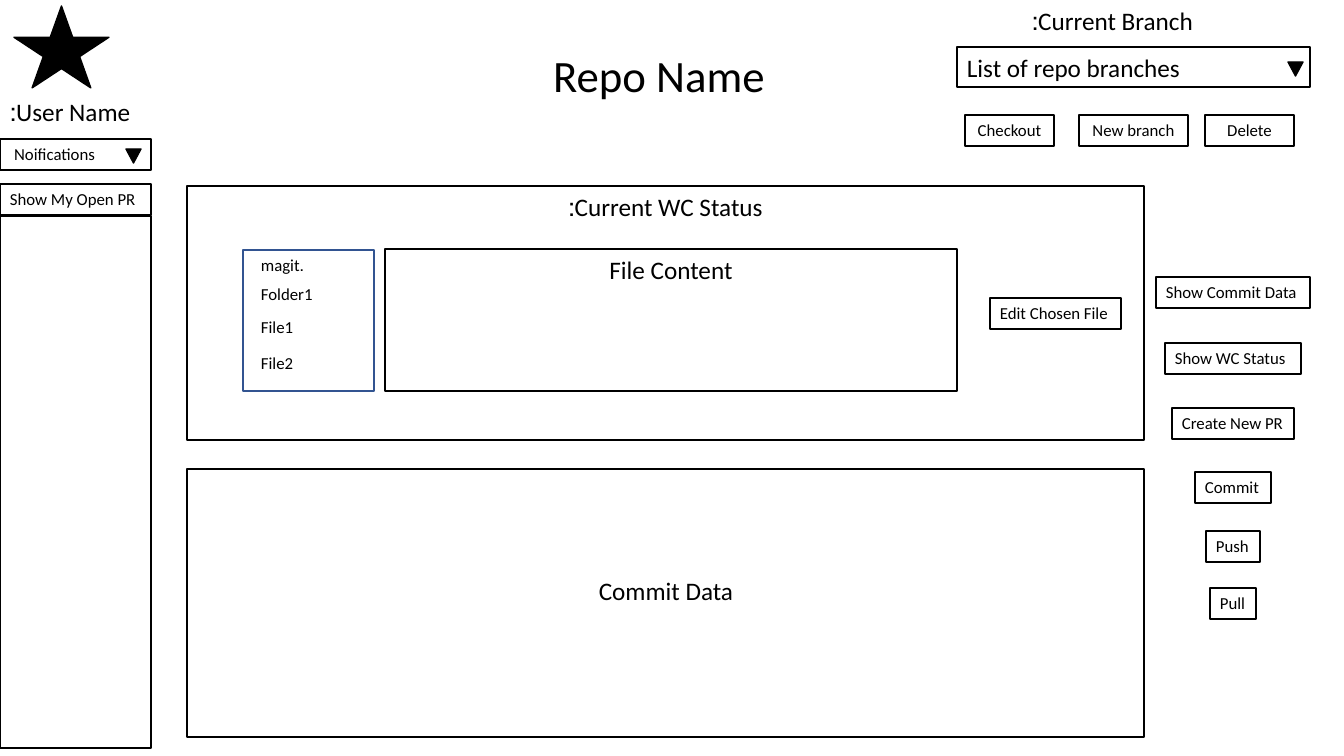
from dataclasses import dataclass

from pptx import Presentation
from pptx.dml.color import RGBColor
from pptx.enum.shapes import MSO_SHAPE
from pptx.enum.text import MSO_ANCHOR, PP_ALIGN
from pptx.util import Emu, Pt

SCALE = 914400 / 100.8
FONT = "Calibri"
COLORS = {"ink": "000000", "paper": "FFFFFF", "tree": "325491"}
BUTTON_HEIGHT = 31
SIDE_CENTER = 1233


@dataclass
class Area:
    left: int
    top: int
    width: int
    height: int = BUTTON_HEIGHT


@dataclass
class Panel:
    area: Area
    text: str = ""
    size: int = 12
    centered: bool = False
    fill: str | None = "paper"
    line: str | None = "ink"
    kind: MSO_SHAPE = MSO_SHAPE.RECTANGLE
    rotation: int = 0


def emu(pixels: int) -> Emu:
    return Emu(round(pixels * SCALE))


def color(name: str) -> RGBColor:
    return RGBColor.from_string(COLORS[name])


def write(box, text: str, size: int, centered: bool) -> None:
    frame = box.text_frame
    frame.word_wrap = True
    frame.vertical_anchor = MSO_ANCHOR.TOP
    if not centered:
        frame.margin_right = 0
    para = frame.paragraphs[0]
    para.alignment = PP_ALIGN.CENTER if centered else PP_ALIGN.LEFT
    para._p.get_or_add_pPr().set("rtl", "1")
    span = para.add_run()
    span.text = text
    span.font.name = FONT
    span.font.size = Pt(size)
    span.font.color.rgb = color("ink")


def place(box, area: Area) -> None:
    box.left, box.top = emu(area.left), emu(area.top)
    box.width, box.height = emu(area.width), emu(area.height)


def draw_panel(page, panel: Panel) -> None:
    box = page.shapes.add_shape(panel.kind, 0, 0, 0, 0)
    place(box, panel.area)
    box.rotation = panel.rotation
    box.shadow.inherit = False
    if panel.fill:
        box.fill.solid()
        box.fill.fore_color.rgb = color(panel.fill)
    else:
        box.fill.background()
    box.line.color.rgb = color(panel.line)
    box.line.width = Pt(1)
    if panel.text:
        write(box, panel.text, panel.size, panel.centered)


def draw_label(page, area: Area, text: str, centered: bool = False) -> None:
    box = page.shapes.add_textbox(0, 0, 0, 0)
    place(box, area)
    write(box, text, 18, centered)


def drop_arrow(left: int, top: int) -> Panel:
    return Panel(Area(left, top, 15, 14), fill="ink",
                 kind=MSO_SHAPE.ISOSCELES_TRIANGLE, rotation=180)


deck = Presentation()
deck.slide_width, deck.slide_height = emu(1344), emu(756)
page = deck.slides.add_slide(deck.slide_layouts[5])

title = page.shapes.title
place(title, Area(474, 43, 370, 65))
write(title, "Repo Name", 32, True)

user_area = [
    Panel(Area(14, 6, 95, 82), fill="ink", kind=MSO_SHAPE.STAR_5_POINT),
    Panel(Area(0, 139, 151), "Noifications "),
    drop_arrow(126, 149),
    Panel(Area(0, 184, 151), "Show My Open PR"),
    Panel(Area(0, 216, 151, 532)),
]
branch_area = [
    Panel(Area(957, 47, 353, 40), "List of repo branches", 18),
    drop_arrow(1288, 62),
]
branch_buttons = [
    Panel(Area(left, 115, width), text, centered=True)
    for text, left, width in [
        ("Checkout", 965, 89), ("New branch", 1079, 109), ("Delete", 1205, 89)]
]
side_buttons = [
    Panel(Area(SIDE_CENTER - width // 2, top, width), text)
    for text, top, width in [
        ("Show Commit Data", 277, 154), ("Show WC Status", 343, 136),
        ("Create New PR", 408, 122), ("Commit", 472, 76),
        ("Push", 531, 54), ("Pull", 588, 46)]
]
file_rows = [
    Panel(Area(251, top, 694), text, line="paper")
    for text, top in [
        (".magit", 250), ("Folder1", 279), ("File1", 312), ("File2", 348)]
]
status_area = [
    Panel(Area(187, 186, 957, 254), "Current WC Status:", 18, True),
    Panel(Area(990, 298, 131), "Edit Chosen File"),
    *file_rows,
    Panel(Area(243, 250, 131, 141), fill=None, line="tree"),
    Panel(Area(385, 249, 572, 142), "File Content", 18, True),
]
commit_area = [Panel(Area(187, 469, 957, 268))]

for panel in (user_area + branch_area + branch_buttons + side_buttons
              + status_area + commit_area):
    draw_panel(page, panel)

draw_label(page, Area(0, 91, 218, 40), "User Name:")
draw_label(page, Area(1022, 0, 322, 40), "Current Branch:")
draw_label(page, Area(489, 570, 354, 40), "Commit Data", True)

deck.save("out.pptx")
